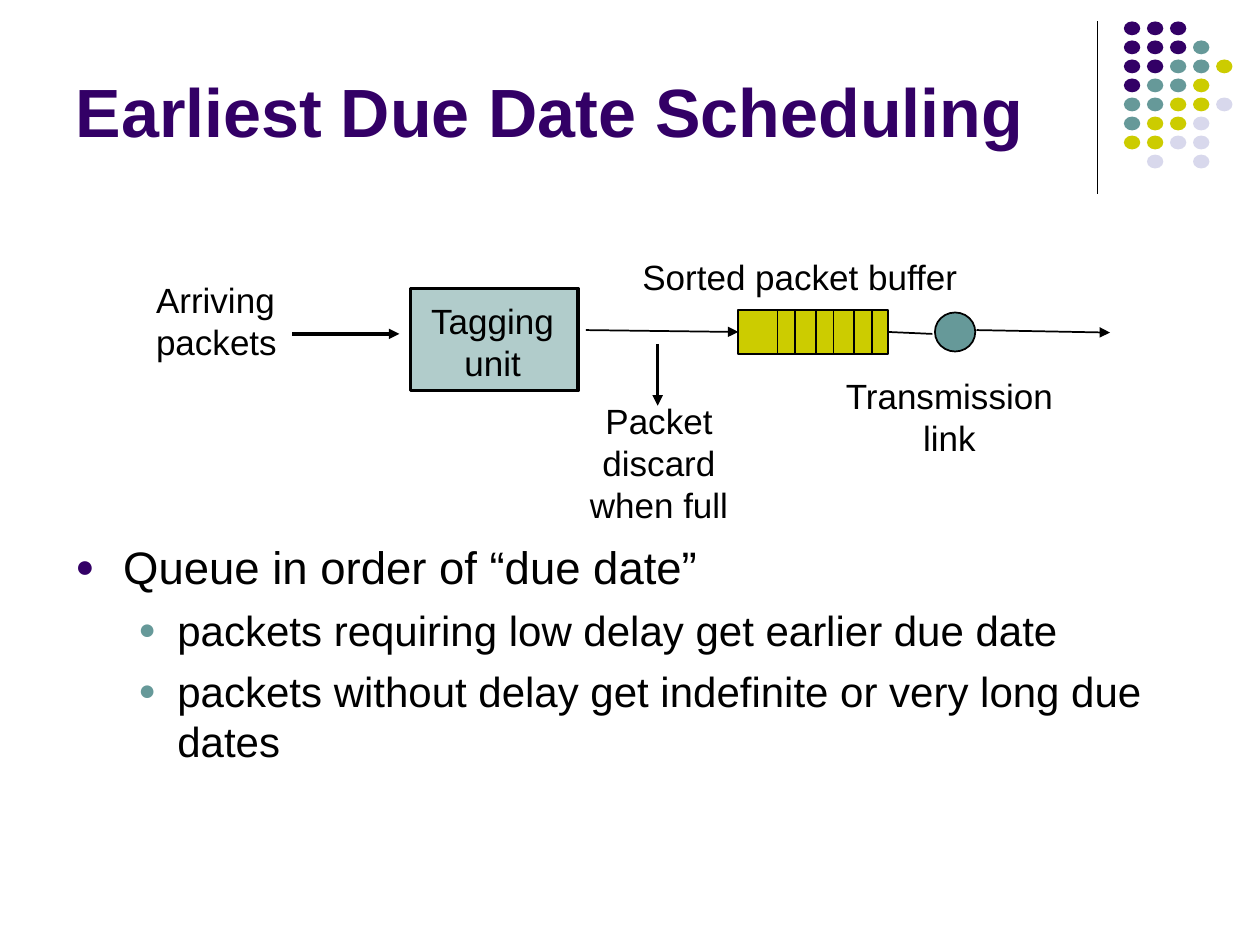
from lxml import etree
from pptx import Presentation
from pptx.dml.color import RGBColor
from pptx.enum.shapes import MSO_CONNECTOR, MSO_SHAPE
from pptx.enum.text import MSO_ANCHOR, PP_ALIGN
from pptx.oxml.ns import qn
from pptx.util import Inches, Pt

COLORS = {
    "purple": "330066",
    "teal": "669999",
    "pale_teal": "B1CCCB",
    "olive": "CCCC00",
    "lavender": "D8D8EC",
    "black": "000000",
}
FONT = "Arial"
DOT_ROWS = ["PPP", "PPPT", "PPTTO", "PTTO", "TTOOL", "TOOL", "OOLL", " L L"]
DOT_COLORS = {"P": "purple", "T": "teal", "O": "olive", "L": "lavender"}


def rgb(name):
    return RGBColor.from_string(COLORS[name])


def write(frame, text, size, color="black", bold=False, align=PP_ALIGN.LEFT,
          wrap=False, anchor=MSO_ANCHOR.TOP):
    """Fill a text frame, one paragraph for each line of text."""
    frame.word_wrap = wrap
    frame.vertical_anchor = anchor
    frame.text = text
    for paragraph in frame.paragraphs:
        paragraph.alignment = align
        font = paragraph.font
        font.name, font.size, font.bold = FONT, Pt(size), bold
        font.color.rgb = rgb(color)


def add_label(slide, text, left, top, width, height=0.76, align=PP_ALIGN.CENTER):
    box = slide.shapes.add_textbox(*map(Inches, (left, top, width, height)))
    write(box.text_frame, text, 20, align=align)


def add_filled(slide, kind, left, top, width, height, fill, weight=None):
    shape = slide.shapes.add_shape(kind, *map(Inches, (left, top, width, height)))
    shape.shadow.inherit = False
    shape.fill.solid()
    shape.fill.fore_color.rgb = rgb(fill)
    if weight:
        shape.line.color.rgb = rgb("black")
        shape.line.width = Pt(weight)
    else:
        shape.line.fill.background()
    return shape


def add_line(slide, x1, y1, x2, y2, weight=1, arrow=False):
    line = slide.shapes.add_connector(
        MSO_CONNECTOR.STRAIGHT, *map(Inches, (x1, y1, x2, y2)))
    line.line.color.rgb = rgb("black")
    line.line.width = Pt(weight)
    if arrow:
        etree.SubElement(line.line._get_or_add_ln(), qn("a:tailEnd"), type="triangle")
    etree.SubElement(line._element.spPr, qn("a:effectLst"))
    return line


def add_title(slide, left, top, width, height):
    title = slide.shapes.title
    title.left, title.top, title.width, title.height = map(
        Inches, (left, top, width, height))
    write(title.text_frame, "Earliest Due Date Scheduling", 39, "purple",
          bold=True, wrap=True, anchor=MSO_ANCHOR.BOTTOM)


def add_corner_dots(slide, left, top):
    """Vertical rule with a grid of coloured dots to its right."""
    add_line(slide, left, top, left, top + 1.37, 0.75)
    for row, codes in enumerate(DOT_ROWS):
        for column, code in enumerate(codes):
            if code in DOT_COLORS:
                add_filled(slide, MSO_SHAPE.OVAL, left + 0.21 + column * 0.183,
                           top + row * 0.151, 0.13, 0.11, DOT_COLORS[code])


def add_queue_diagram(slide, left, top):
    """Packets pass the tagging unit and the sorted buffer to the link."""
    def at(x, y):
        return left + x, top + y

    add_label(slide, "Arriving\npackets", *at(0, 0.18), 1.16, align=PP_ALIGN.LEFT)
    add_line(slide, *at(1.18, 0.67), *at(2.03, 0.67), 2, arrow=True)
    add_filled(slide, MSO_SHAPE.RECTANGLE, *at(2.12, 0.31), 1.33, 0.81,
               "pale_teal", 2)
    add_label(slide, "Tagging\nunit", *at(2.17, 0.35), 1.2)

    add_label(slide, "Sorted packet buffer", *at(3.86, 0), 2.7, 0.43,
              align=PP_ALIGN.LEFT)
    buffer = add_filled(slide, MSO_SHAPE.RECTANGLE, *at(4.72, 0.48), 1.19, 0.35,
                        "olive", 1)
    for pair in range(3):
        for offset in (0, 0.14):
            x = 5.03 + pair * 0.305 + offset
            add_line(slide, *at(x, 0.48), *at(x, 0.83))
    arrival = add_line(slide, *at(3.51, 0.64), *at(4.72, 0.66), arrow=True)
    arrival.end_connect(buffer, 1)
    add_line(slide, *at(4.08, 0.75), *at(4.08, 1.24), 2, arrow=True)
    add_label(slide, "Packet discard\nwhen full", *at(3.08, 1.14), 2.02)

    departure = add_line(slide, *at(5.91, 0.66), *at(6.26, 0.67))
    departure.begin_connect(buffer, 3)
    add_filled(slide, MSO_SHAPE.OVAL, *at(6.28, 0.5), 0.32, 0.31, "teal", 1)
    add_line(slide, *at(6.61, 0.64), *at(7.67, 0.66), arrow=True)
    add_label(slide, "Transmission\nlink", *at(5.47, 0.94), 1.85)


def add_bullet(paragraph, color, indent, hanging):
    properties = paragraph._p.get_or_add_pPr()
    properties.set("marL", str(Inches(indent)))
    properties.set("indent", str(-Inches(hanging)))
    bullet_color = etree.SubElement(properties, qn("a:buClr"))
    etree.SubElement(bullet_color, qn("a:srgbClr"), val=COLORS[color])
    etree.SubElement(properties, qn("a:buSzPct"), val="70000")
    etree.SubElement(properties, qn("a:buFont"), typeface=FONT)
    etree.SubElement(properties, qn("a:buChar"), char="●")


def add_bullets(slide, left, top, width, height):
    points = [
        (0, "Queue in order of “due date”"),
        (1, "packets requiring low delay get earlier due date"),
        (1, "packets without delay get indefinite or very long due dates"),
    ]
    levels = [(26, "purple", 0.38, 0.38), (24, "teal", 0.81, 0.31)]
    frame = slide.shapes.add_textbox(
        *map(Inches, (left, top, width, height))).text_frame
    frame.word_wrap = True
    for index, (level, text) in enumerate(points):
        size, color, indent, hanging = levels[level]
        paragraph = frame.add_paragraph() if index else frame.paragraphs[0]
        paragraph.text = text
        paragraph.level = level
        add_bullet(paragraph, color, indent, hanging)
        if index:
            paragraph.space_before = Pt(6)
        font = paragraph.font
        font.name, font.size = FONT, Pt(size)
        font.color.rgb = rgb("black")


def main():
    deck = Presentation()
    deck.slide_width, deck.slide_height = Inches(10), Inches(7.5)
    slide = deck.slides.add_slide(deck.slide_layouts[5])
    add_corner_dots(slide, 8.71, 0.17)
    add_title(slide, 0.5, 0.13, 8.25, 1.12)
    add_bullets(slide, 0.5, 4.23, 9, 2.48)
    add_queue_diagram(slide, 1.14, 1.98)
    deck.save("out.pptx")


if __name__ == "__main__":
    main()
